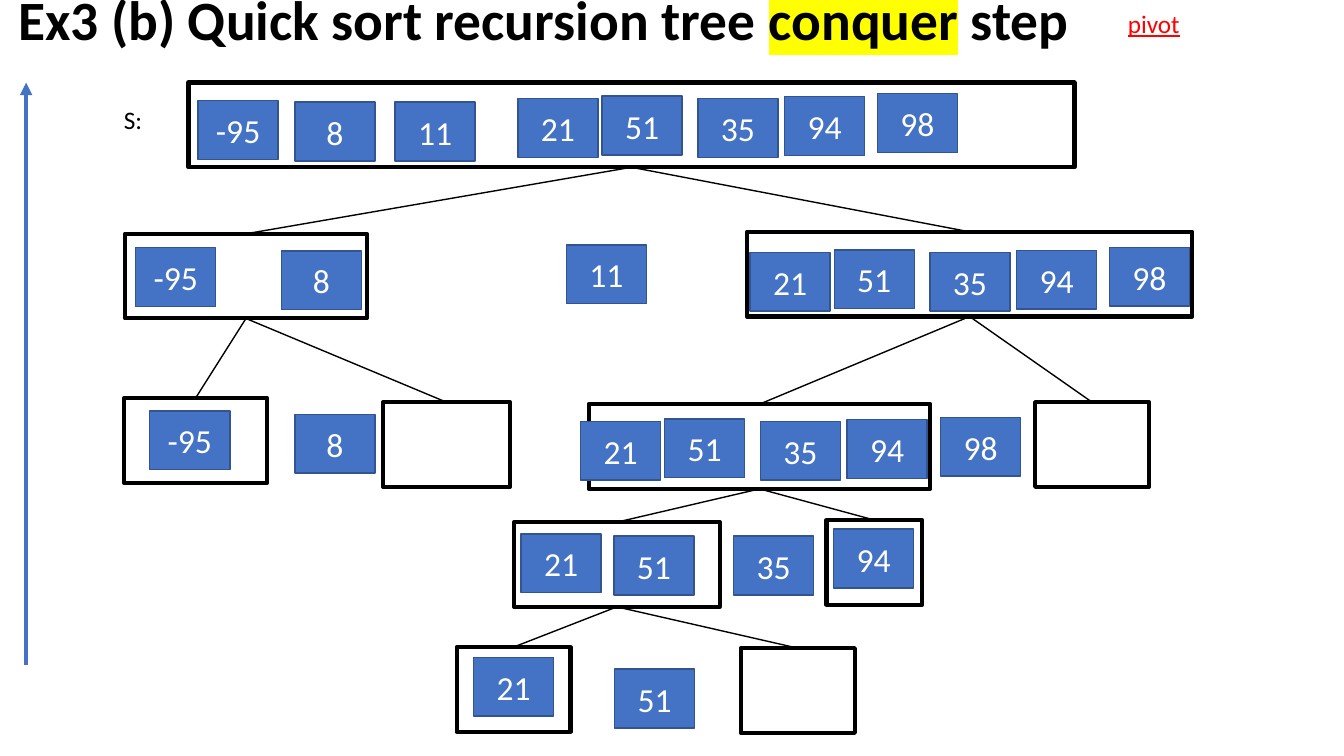
from lxml import etree
from pptx import Presentation
from pptx.dml.color import RGBColor
from pptx.enum import shapes, text
from pptx.oxml import ns
from pptx.util import Pt

COLORS = {"ink": "000000", "tile": "4472C4", "edge": "325491",
          "white": "FFFFFF", "pivot": "FF0000", "mark": "FFFF00"}
FONT = "Calibri"

# Title runs: (text, highlighted)
TITLE = [("Ex3 (b) Quick sort recursion tree ", False), ("conquer", True), (" step", False)]

# Labels: text, left, top, width, colour, underlined
LABELS = [("S:", 81.4, 70.6, 46, "ink", False),
          ("pivot", 798.5, 2.2, 65, "pivot", True)]

# Sublists: name -> (left, top, width, parent)
BOX_H = 60.5
BOXES = {
    "all": (134.6, 59, 632.9, None),
    "below 11": (89.3, 167, 172.8, "all"),
    "above 11": (533.5, 165.6, 318.2, "all"),
    "below 8": (88.6, 284.4, 102.2, "below 11"),
    "above 8": (273.6, 287.3, 90.7, "below 11"),
    "below 98": (420.5, 288.7, 244.1, "above 11"),
    "above 98": (739.4, 287.3, 81.4, "above 11"),
    "below 35": (367.2, 373, 146.9, "below 98"),
    "above 35": (590.4, 371.5, 68.4, "below 98"),
    "below 51": (326.2, 462.2, 81.4, "below 35"),
    "above 51": (529.2, 463, 81.4, "below 35"),
}

# Single number tiles: value, left, top
TILE_W, TILE_H = 57.2, 42
TILES = [
    (-95, 141.5, 71.8), (8, 210.7, 73), (11, 282.2, 73),
    (-95, 97, 177), (8, 200.9, 179.3), (11, 404.5, 175),
    (-95, 107, 293.5), (8, 210.7, 296), (98, 671.8, 298.1),
    (21, 372.2, 381.4), (51, 438.5, 383), (35, 524, 383), (94, 595.4, 378),
    (21, 338.4, 469.6), (51, 439, 478),
]

# The run of larger numbers moves as a block: value, offset right, offset down
LARGE = [(21, 0, 0), (51, 60.1, -1.7), (35, 128.5, 0), (94, 190.4, -1.3), (98, 256.7, -3.5)]
LARGE_RUNS = [(370, 70.4, 5), (535.8, 180.2, 5), (414.7, 301, 4)]  # left, top, count


def rgb(name):
    return RGBColor.from_string(COLORS[name])


def add_run(p, words, size, color):
    r = p.add_run()
    r.text = words
    r.font.name, r.font.size = FONT, Pt(size)
    r.font.color.rgb = rgb(color)
    return r


def add_rect(left, top, width, height, line, weight, fill=None):
    sp = slide.shapes.add_shape(shapes.MSO_SHAPE.RECTANGLE,
                                Pt(left), Pt(top), Pt(width), Pt(height))
    sp.shadow.inherit = False
    if fill:
        sp.fill.solid()
        sp.fill.fore_color.rgb = rgb(fill)
    else:
        sp.fill.background()
    sp.line.color.rgb = rgb(line)
    sp.line.width = Pt(weight)
    return sp


def add_line(x1, y1, x2, y2, color, weight):
    line = slide.shapes.add_connector(shapes.MSO_CONNECTOR.STRAIGHT,
                                      Pt(x1), Pt(y1), Pt(x2), Pt(y2))
    line.line.color.rgb = rgb(color)
    line.line.width = Pt(weight)
    etree.SubElement(line._element.spPr, ns.qn("a:effectLst"))
    return line


def add_tile(value, left, top):
    sp = add_rect(left, top, TILE_W, TILE_H, "edge", 1, "tile")
    tf = sp.text_frame
    tf.vertical_anchor = text.MSO_ANCHOR.MIDDLE
    p = tf.paragraphs[0]
    p.alignment = text.PP_ALIGN.CENTER
    add_run(p, str(value), 24, "white")


prs = Presentation()
prs.slide_width, prs.slide_height = Pt(960), Pt(540)
slide = prs.slides.add_slide(prs.slide_layouts[5])

# Title
title = slide.shapes.title
title.left, title.top, title.width, title.height = Pt(5.8), Pt(-1.4), Pt(887), Pt(34.6)
tf = title.text_frame
tf.auto_size = text.MSO_AUTO_SIZE.NONE
tf.word_wrap = True
tf.vertical_anchor = text.MSO_ANCHOR.MIDDLE
p = tf.paragraphs[0]
p.alignment = text.PP_ALIGN.LEFT
p.line_spacing = 0.9
for words, marked in TITLE:
    r = add_run(p, words, 39.6, "ink")
    r.font.bold = True
    if marked:
        highlight = etree.Element(ns.qn("a:highlight"))
        etree.SubElement(highlight, ns.qn("a:srgbClr"), val=COLORS["mark"])
        r._r.rPr.find(ns.qn("a:solidFill")).addnext(highlight)

# Labels
for words, left, top, width, color, underlined in LABELS:
    tb = slide.shapes.add_textbox(Pt(left), Pt(top), Pt(width), Pt(29))
    tb.text_frame.word_wrap = True
    r = add_run(tb.text_frame.paragraphs[0], words, 18, color)
    if underlined:
        r.font.underline = True

# Upward arrow for the conquer direction
arrow = add_line(18.7, 475.2, 18.7, 59, "tile", 3)
etree.SubElement(arrow.line._get_or_add_ln(), ns.qn("a:tailEnd"), type="triangle")

# Sublist boxes, each joined to the bottom centre of its parent
for left, top, width, parent in BOXES.values():
    add_rect(left, top, width, BOX_H, "ink", 3)
    if parent:
        px, py, pw, _ = BOXES[parent]
        add_line(px + pw / 2, py + BOX_H, left + width / 2, top, "ink", 1)

# Number tiles
for value, left, top in TILES:
    add_tile(value, left, top)
for left, top, count in LARGE_RUNS:
    for value, dx, dy in LARGE[:count]:
        add_tile(value, left + dx, top + dy)

prs.save("out.pptx")
